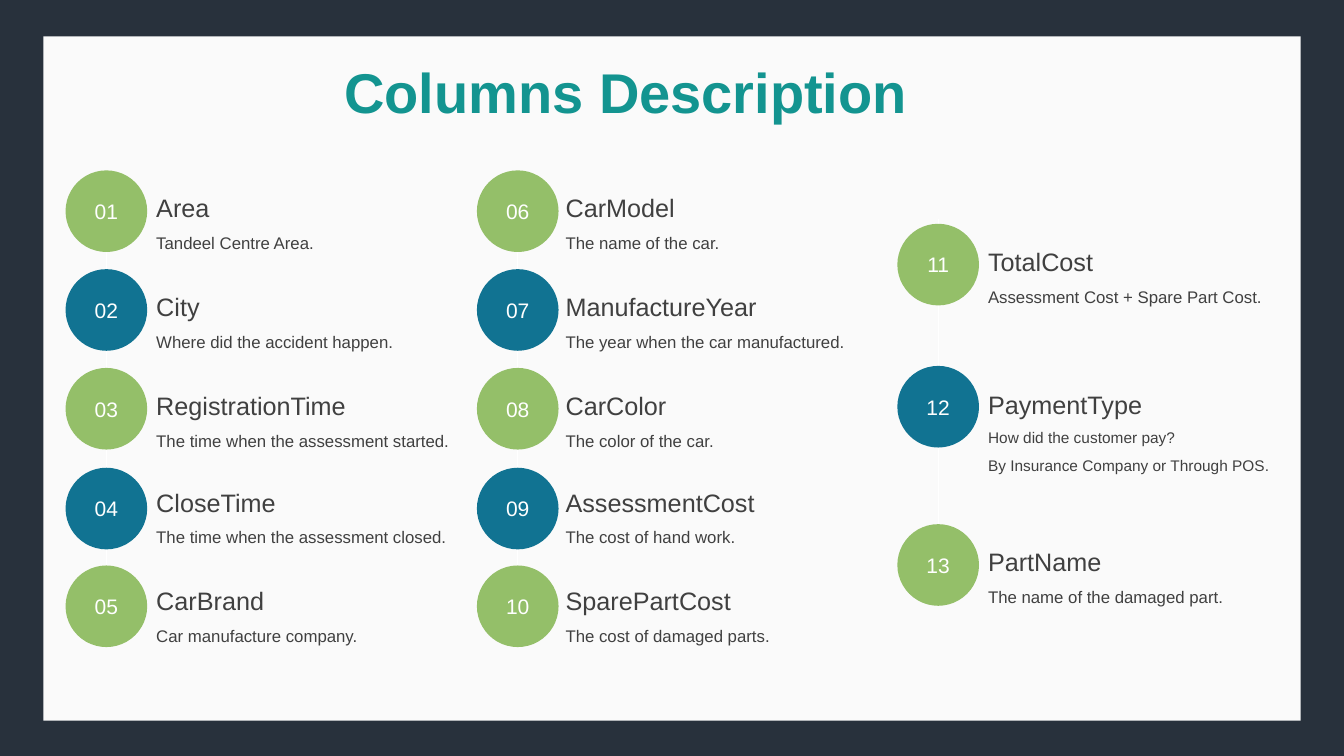
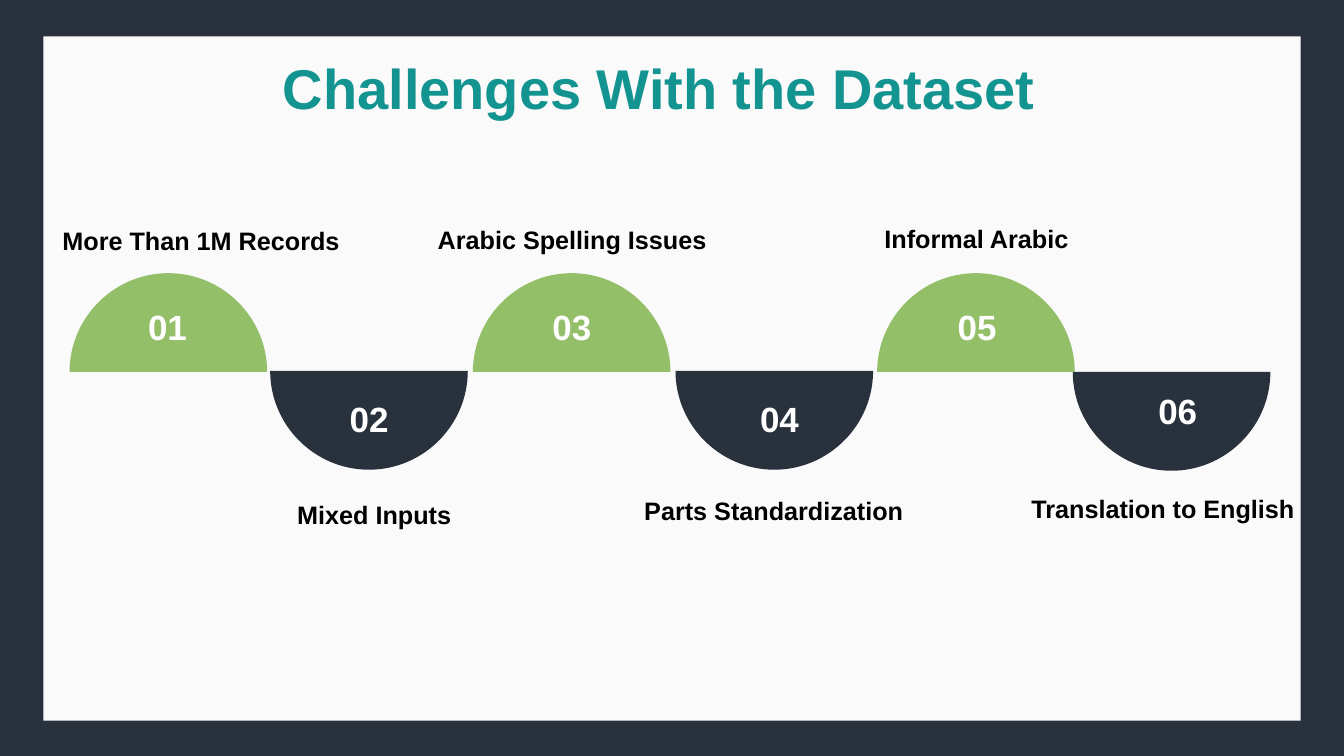
"""Build two slides: dataset column descriptions and dataset challenges."""
import pptx
import pptx.dml.color
import pptx.enum.shapes
import pptx.enum.text
import pptx.oxml
import pptx.util

RGBColor = pptx.dml.color.RGBColor
Align = pptx.enum.text.PP_ALIGN
Anchor = pptx.enum.text.MSO_ANCHOR
Pt = pptx.util.Pt

NAVY = RGBColor(0x28, 0x31, 0x3C)
PANEL = RGBColor(0xFA, 0xFA, 0xFA)
TEAL = RGBColor(0x13, 0x94, 0x90)
GREEN = RGBColor(0x94, 0xBF, 0x69)
BLUE = RGBColor(0x11, 0x73, 0x92)
GREY = RGBColor(0x40, 0x40, 0x40)
WHITE = RGBColor(0xFF, 0xFF, 0xFF)
BLACK = RGBColor(0, 0, 0)

FONT = "Arial"
DRAWING_NS = 'xmlns:a="http://schemas.openxmlformats.org/drawingml/2006/main"'
EMU_PER_PX = 9144
SLIDE_W, SLIDE_H = 1333, 750
CIRCLE = 81
RADIUS = 98
HANDLE = 0.55 * RADIUS

# (circle top, text top) of each row
FIVE_ROWS = [(169, 176), (267, 274), (365, 372), (464, 468), (561, 566)]
THREE_ROWS = [(222, 229), (363, 371), (520, 527)]

# (circle left, text left, rows, [(column name, description lines)])
COLUMNS = [
    (65, 155, FIVE_ROWS, [
        ("Area", ["Tandeel Centre Area."]),
        ("City", ["Where did the accident happen."]),
        ("RegistrationTime", ["The time when the assessment started."]),
        ("CloseTime", ["The time when the assessment closed."]),
        ("CarBrand", ["Car manufacture company."]),
    ]),
    (473, 561, FIVE_ROWS, [
        ("CarModel", ["The name of the car."]),
        ("ManufactureYear", ["The year when the car manufactured."]),
        ("CarColor", ["The color of the car."]),
        ("AssessmentCost", ["The cost of hand work."]),
        ("SparePartCost", ["The cost of damaged parts."]),
    ]),
    (890, 980, THREE_ROWS, [
        ("TotalCost", ["Assessment Cost + Spare Part Cost."]),
        ("PaymentType", ["How did the customer pay?",
                         "By Insurance Company or Through POS."]),
        ("PartName", ["The name of the damaged part."]),
    ]),
]

# (label, label left, label top, label alignment, half left, base, number left, number top)
CHALLENGES = [
    ("More Than 1M Records", 43, 222, Align.CENTER, 69, 369, 137, 308),
    ("Mixed Inputs", 285, 494, Align.LEFT, 268, 368, 337, 399),
    ("Arabic Spelling Issues", 411, 221, Align.CENTER, 469, 369, 538, 308),
    ("Parts Standardization", 611, 490, Align.CENTER, 670, 368, 744, 399),
    ("Informal Arabic", 812, 220, Align.CENTER, 870, 369, 940, 308),
    ("Translation to English", 997, 488, Align.CENTER, 1064, 369, 1139, 391),
]


def px(*lengths):
    return [round(n * EMU_PER_PX) for n in lengths]


def paint(sp, color):
    sp.fill.solid()
    sp.fill.fore_color.rgb = color
    sp.line.fill.background()
    sp.shadow.inherit = False


def write(tf, lines, size, color, bold=False, align=Align.LEFT, spacing=1.0):
    tf.text = "\n".join(lines)
    for p in tf.paragraphs:
        p.alignment = align
        p.line_spacing = spacing
        p.font.name = FONT
        p.font.size = Pt(size)
        p.font.bold = bold
        p.font.color.rgb = color


def add_text(s, box, lines, size, color, inset=True, wrap=True, **style):
    tf = s.shapes.add_textbox(*px(*box)).text_frame
    tf.word_wrap = wrap
    if not inset:
        tf.margin_left = tf.margin_right = tf.margin_top = tf.margin_bottom = 0
    write(tf, lines, size, color, **style)
    return tf


def add_slide(prs, title, box):
    s = prs.slides.add_slide(prs.slide_layouts[5])
    s.background.fill.solid()
    s.background.fill.fore_color.rgb = NAVY
    panel = s.shapes.add_shape(
        pptx.enum.shapes.MSO_SHAPE.RECTANGLE, *px(43, 36, 1247, 679))
    paint(panel, PANEL)
    sp = s.shapes.title
    sp.element.addprevious(panel.element)
    sp.left, sp.top, sp.width, sp.height = px(*box)
    tf = sp.text_frame
    tf.auto_size = pptx.enum.text.MSO_AUTO_SIZE.NONE
    tf.vertical_anchor = Anchor.MIDDLE
    write(tf, [title], 40, TEAL, bold=True, align=Align.CENTER)
    return s


def add_spine(s, x):
    line = s.shapes.add_connector(
        pptx.enum.shapes.MSO_CONNECTOR.STRAIGHT, *px(x, 217, x, 599))
    line.line.color.rgb = WHITE
    line.line.width = Pt(0.5)
    line.element.spPr.append(pptx.oxml.parse_xml(f"<a:effectLst {DRAWING_NS}/>"))


def add_circle(s, left, top, number, color):
    sp = s.shapes.add_shape(
        pptx.enum.shapes.MSO_SHAPE.OVAL, *px(left, top, CIRCLE, CIRCLE))
    paint(sp, color)
    tf = sp.text_frame
    tf.margin_left = tf.margin_right = 0
    tf.vertical_anchor = Anchor.MIDDLE
    write(tf, [f"{number:02d}"], 15, WHITE, align=Align.CENTER)


def add_half_circle(s, left, base, direction, color):
    outline = s.shapes.build_freeform(*px(left, base))
    outline.add_line_segments(
        [px(left + RADIUS, base + direction * RADIUS),
         px(left + 2 * RADIUS, base)], close=True)
    sp = outline.convert_to_shape()
    paint(sp, color)
    flat = RADIUS if direction < 0 else 0
    near, far = flat + direction * HANDLE, flat + direction * RADIUS
    arcs = [
        [(0, near), (RADIUS - HANDLE, far), (RADIUS, far)],
        [(RADIUS + HANDLE, far), (2 * RADIUS, near), (2 * RADIUS, flat)],
    ]
    for segment, arc in zip(sp.element.xpath(".//a:lnTo"), arcs):
        points = "".join('<a:pt x="{}" y="{}"/>'.format(*px(x, y)) for x, y in arc)
        curve = pptx.oxml.parse_xml(
            f"<a:cubicBezTo {DRAWING_NS}>{points}</a:cubicBezTo>")
        segment.getparent().replace(segment, curve)


def build_columns(prs):
    s = add_slide(prs, "Columns Description", (272, 52, 697, 77))
    number = 0
    for circle_left, text_left, rows, fields in COLUMNS:
        add_spine(s, circle_left + CIRCLE / 2)
        for row, ((top, text_top), (name, lines)) in enumerate(zip(rows, fields)):
            number += 1
            add_circle(s, circle_left, top, number, BLUE if row % 2 else GREEN)
            add_text(s, (text_left, text_top, 280, 41), [name], 18, GREY,
                     inset=False, spacing=1.5)
            add_text(s, (text_left, text_top + 45, 310, 25 * len(lines)), lines,
                     11 if len(lines) > 1 else 12, GREY, inset=False, spacing=1.5)


def build_challenges(prs):
    s = add_slide(prs, "Challenges With the Dataset", (216, 48, 875, 77))
    for i, (label, x, y, align, left, base, num_x, num_y) in enumerate(CHALLENGES):
        direction, color = (1, NAVY) if i % 2 else (-1, GREEN)
        add_half_circle(s, left, base, direction, color)
        tf = add_text(s, (num_x, num_y, 78, 42), [f"{i + 1:02d}"], 25, WHITE,
                      wrap=False, bold=True, spacing=1.2)
        tf.vertical_anchor = Anchor.BOTTOM
        add_text(s, (x, y, 313, 37), [label], 18, BLACK,
                 bold=True, align=align, spacing=0.9)


def main():
    prs = pptx.Presentation()
    prs.slide_width, prs.slide_height = px(SLIDE_W, SLIDE_H)
    build_columns(prs)
    build_challenges(prs)
    prs.save("out.pptx")


if __name__ == "__main__":
    main()
